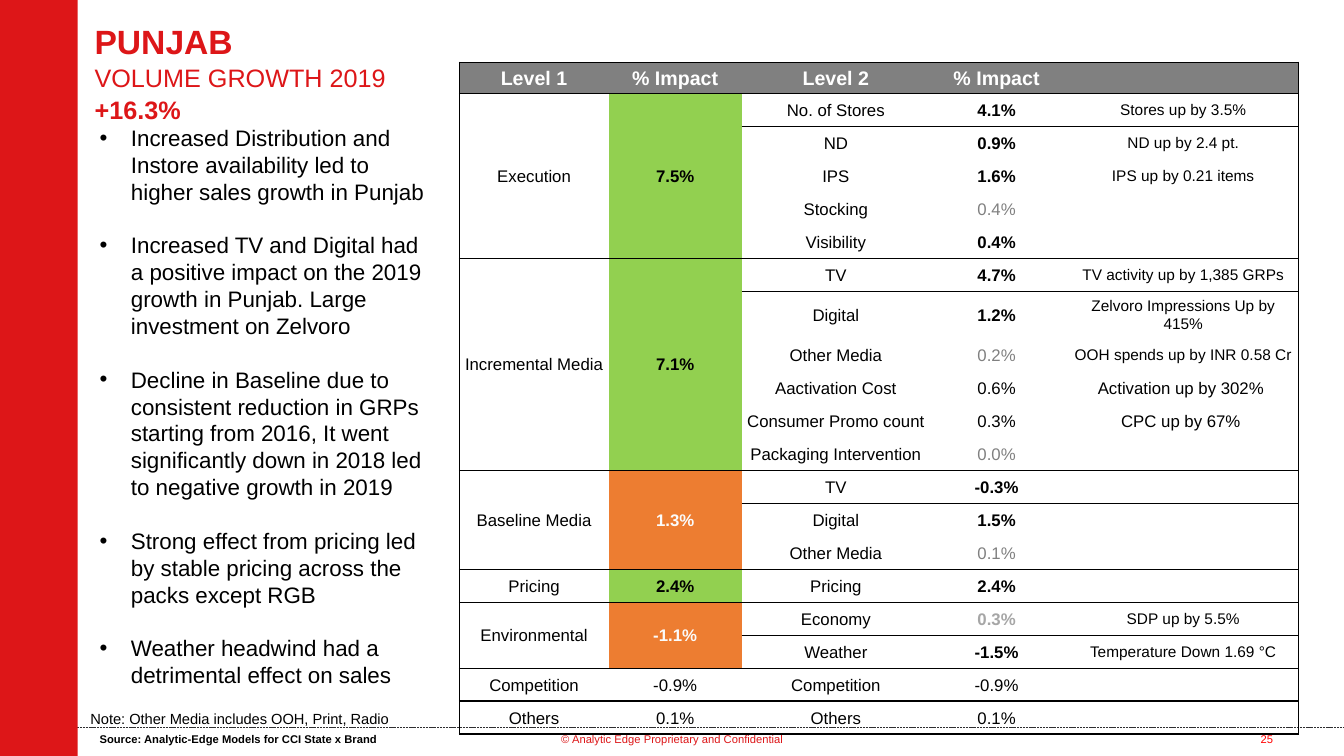
from lxml.etree import SubElement
from pptx import Presentation
from pptx.dml.color import RGBColor
from pptx.enum.dml import MSO_LINE
from pptx.enum.shapes import MSO_CONNECTOR, MSO_SHAPE
from pptx.enum.text import MSO_ANCHOR, MSO_AUTO_SIZE, PP_ALIGN
from pptx.oxml import parse_xml
from pptx.oxml.ns import nsdecls, qn
from pptx.util import Cm, Pt

RED = RGBColor(0xDD, 0x16, 0x18)
PAGE_RED = RGBColor(0xFF, 0x00, 0x00)
BLACK = RGBColor(0x00, 0x00, 0x00)
WHITE = RGBColor(0xFF, 0xFF, 0xFF)
OFF_WHITE = RGBColor(0xFB, 0xFB, 0xFB)
GREY = RGBColor(0x80, 0x80, 0x80)
LIGHT_GREY = RGBColor(0xA6, 0xA6, 0xA6)
RULE_GREY = RGBColor(0x2E, 0x2E, 0x30)
GREEN = RGBColor(0x92, 0xD0, 0x50)
ORANGE = RGBColor(0xED, 0x7D, 0x31)
NO_GRID_STYLE = "{2D5ABB26-0587-4C30-8999-92F81FD0307C}"


def style_run(run, size, color=BLACK, bold=False):
    run.font.name = "Arial"
    run.font.size = Pt(size)
    run.font.color.rgb = color
    run.font.bold = bold


def add_label(text, box, size, color=BLACK, bold=False, align=PP_ALIGN.LEFT):
    shape = slide.shapes.add_textbox(*[Cm(value) for value in box])
    shape.text_frame.word_wrap = True
    shape.text_frame.text = text
    for paragraph in shape.text_frame.paragraphs:
        paragraph.alignment = align
        style_run(paragraph.runs[0], size, color, bold)
    return shape


presentation = Presentation()
presentation.slide_width = Cm(33.87)
presentation.slide_height = Cm(19.05)
slide = presentation.slides.add_slide(presentation.slide_layouts[5])

# Footer rule and red side bar
rule = slide.shapes.add_connector(
    MSO_CONNECTOR.STRAIGHT, Cm(1.8), Cm(18.32), Cm(33.87), Cm(18.32))
rule.line.color.rgb = RULE_GREY
rule.line.width = Pt(0.5)
rule.line.dash_style = MSO_LINE.SQUARE_DOT
SubElement(rule._element.spPr, qn("a:effectLst"))

side_bar = slide.shapes.add_shape(MSO_SHAPE.RECTANGLE, 0, 0, Cm(1.96), Cm(19.05))
side_bar.shadow.inherit = False
side_bar.fill.solid()
side_bar.fill.fore_color.rgb = RED
side_bar.line.fill.background()

# Title
title = slide.shapes.title
title.left, title.top, title.width, title.height = Cm(2.13), Cm(0.36), Cm(26.04), Cm(2.18)
title.text_frame.auto_size = MSO_AUTO_SIZE.NONE
title.text_frame.vertical_anchor = MSO_ANCHOR.TOP
paragraph = title.text_frame.paragraphs[0]
paragraph.alignment = PP_ALIGN.LEFT
paragraph.line_spacing = 1.04
for index, (text, size, bold) in enumerate(
        [("PUNJAB", 24, True), ("VOLUME GROWTH 2019", 18, False), ("+16.3%", 18, True)]):
    if index:
        paragraph.add_line_break()
    run = paragraph.add_run()
    run.text = text
    style_run(run, size, RED, bold)

# Footer texts
add_label("© Analytic Edge Proprietary and Confidential", (13.39, 18.34, 7.11, 1.02),
          8, RED, align=PP_ALIGN.CENTER)
add_label("25", (31.14, 18.34, 1.57, 1.02), 8, PAGE_RED, align=PP_ALIGN.CENTER)
source = add_label("Source: Analytic-Edge Models for CCI State x Brand",
                   (2.26, 18.34, 7.57, 0.61), 8, bold=True)
source.text_frame.word_wrap = False

# Commentary bullets
comments = [
    "Increased Distribution and Instore availability led to higher sales growth in Punjab",
    "Increased TV and Digital had a positive impact on the 2019 growth in Punjab. "
    "Large investment on Zelvoro",
    "Decline in Baseline due to consistent reduction in GRPs starting from 2016, "
    "It went significantly down in 2018 led to negative growth in 2019",
    "Strong effect from pricing led by stable pricing across the packs except RGB",
    "Weather headwind had a detrimental effect on sales",
]
commentary = add_label("\n".join(comments), (2.26, 3, 8.8, 16.66), 16)
for index, paragraph in enumerate(commentary.text_frame.paragraphs):
    properties = paragraph._p.get_or_add_pPr()
    properties.set("marL", str(Cm(0.79)))
    properties.set("indent", str(-Cm(0.79)))
    SubElement(properties, qn("a:buFont")).set("typeface", "Arial")
    SubElement(properties, qn("a:buChar")).set("char", "•")
    paragraph.line_spacing = Pt(19.2)
    if index:
        paragraph.space_before = Pt(19.2)

# Impact table: level 1, impact, fill, then level 2 rows (name, impact, style, note, note size)
STRONG, PLAIN, MUTED, FADED = (BLACK, True), (BLACK, False), (GREY, False), (LIGHT_GREY, True)
groups = [
    ("Execution", "7.5%", GREEN, [
        ("No. of Stores", "4.1%", STRONG, "Stores up by 3.5%", 11),
        ("ND", "0.9%", STRONG, "ND up by 2.4 pt.", 11),
        ("IPS", "1.6%", STRONG, "IPS up by 0.21 items", 11),
        ("Stocking", "0.4%", MUTED, "", 12),
        ("Visibility", "0.4%", STRONG, "", 12)]),
    ("Incremental Media", "7.1%", GREEN, [
        ("TV", "4.7%", STRONG, "TV activity up by 1,385 GRPs", 11),
        ("Digital", "1.2%", STRONG, "Zelvoro Impressions Up by 415%", 11),
        ("Other Media", "0.2%", MUTED, "OOH spends up by INR 0.58 Cr", 11),
        ("Aactivation Cost", "0.6%", PLAIN, "Activation up by 302%", 12),
        ("Consumer Promo count", "0.3%", PLAIN, "CPC up by 67%", 12),
        ("Packaging Intervention", "0.0%", MUTED, "", 12)]),
    ("Baseline Media", "1.3%", ORANGE, [
        ("TV", "-0.3%", STRONG, "", 12),
        ("Digital", "1.5%", STRONG, "", 12),
        ("Other Media", "0.1%", MUTED, "", 12)]),
    ("Pricing", "2.4%", GREEN, [("Pricing", "2.4%", STRONG, "", 12)]),
    ("Environmental", "-1.1%", ORANGE, [
        ("Economy", "0.3%", FADED, "SDP up by 5.5%", 11),
        ("Weather", "-1.5%", STRONG, "Temperature Down 1.69 °C", 11)]),
    ("Competition", "-0.9%", None, [("Competition", "-0.9%", PLAIN, "", 12)]),
    ("Others", "0.1%", None, [("Others", "0.1%", PLAIN, "", 12)]),
]

# Each cell is (text, size, colour, bold, fill); each block is (first row, last row)
headings = ["Level 1", "% Impact", "Level 2", "% Impact", ""]
rows = [[(text, 14, WHITE, True, GREY) for text in headings]]
blocks = [(0, 0)]
group_styles = {GREEN: STRONG, ORANGE: (OFF_WHITE, True), None: PLAIN}
for level_1, total, fill, details in groups:
    blocks.append((len(rows), len(rows) + len(details) - 1))
    for index, (level_2, impact, style, note, note_size) in enumerate(details):
        first = index == 0
        rows.append([(level_1 if first else "", 12, *PLAIN, None),
                     (total if first else "", 12, *group_styles[fill], fill),
                     (level_2, 12, *PLAIN, None),
                     (impact, 12, *style, None),
                     (note, note_size, *PLAIN, None)])

frame = slide.shapes.add_table(len(rows), 5, Cm(11.58), Cm(1.57), Cm(21.15), Cm(16.87))
table = frame.table
table._tbl.tblPr.find(qn("a:tableStyleId")).text = NO_GRID_STYLE
table.horz_banding = False
for column, width in zip(table.columns, [3.76, 3.35, 4.75, 3.35, 5.94]):
    column.width = Cm(width)
for index, row in enumerate(table.rows):
    row.height = Cm({0: 0.76, 7: 1.18}.get(index, 0.83))

for top_row, bottom_row in blocks:
    for row_index in range(top_row, bottom_row + 1):
        for column_index, (text, size, color, bold, fill) in enumerate(rows[row_index]):
            cell = table.cell(row_index, column_index)
            cell.vertical_anchor = MSO_ANCHOR.MIDDLE
            cell.margin_left = cell.margin_right = cell.margin_top = Cm(0.03)
            cell.margin_bottom = 0
            if size == 11:
                cell.margin_left = Cm(0.25)
                cell.margin_right = cell.margin_top = cell.margin_bottom = Cm(0.13)
            edges = {"lnL": column_index == 0, "lnR": column_index == 4,
                     "lnT": row_index == top_row, "lnB": row_index == bottom_row}
            for edge, drawn in edges.items():
                if drawn:
                    cell._tc.get_or_add_tcPr().append(parse_xml(
                        f'<a:{edge} {nsdecls("a")} w="12700"><a:solidFill>'
                        f'<a:srgbClr val="{BLACK}"/></a:solidFill></a:{edge}>'))
            if fill is None:
                cell.fill.background()
            else:
                cell.fill.solid()
                cell.fill.fore_color.rgb = fill
            if text:
                cell.text_frame.text = text
                cell.text_frame.paragraphs[0].alignment = PP_ALIGN.CENTER
                style_run(cell.text_frame.paragraphs[0].runs[0], size, color, bold)
    if bottom_row > top_row:
        for column_index in (0, 1):
            table.cell(top_row, column_index).merge(table.cell(bottom_row, column_index))

# Note under the commentary
add_label("Note: Other Media includes OOH, Print, Radio", (2.03, 17.75, 14.38, 0.74), 10.5)

presentation.save("out.pptx")
